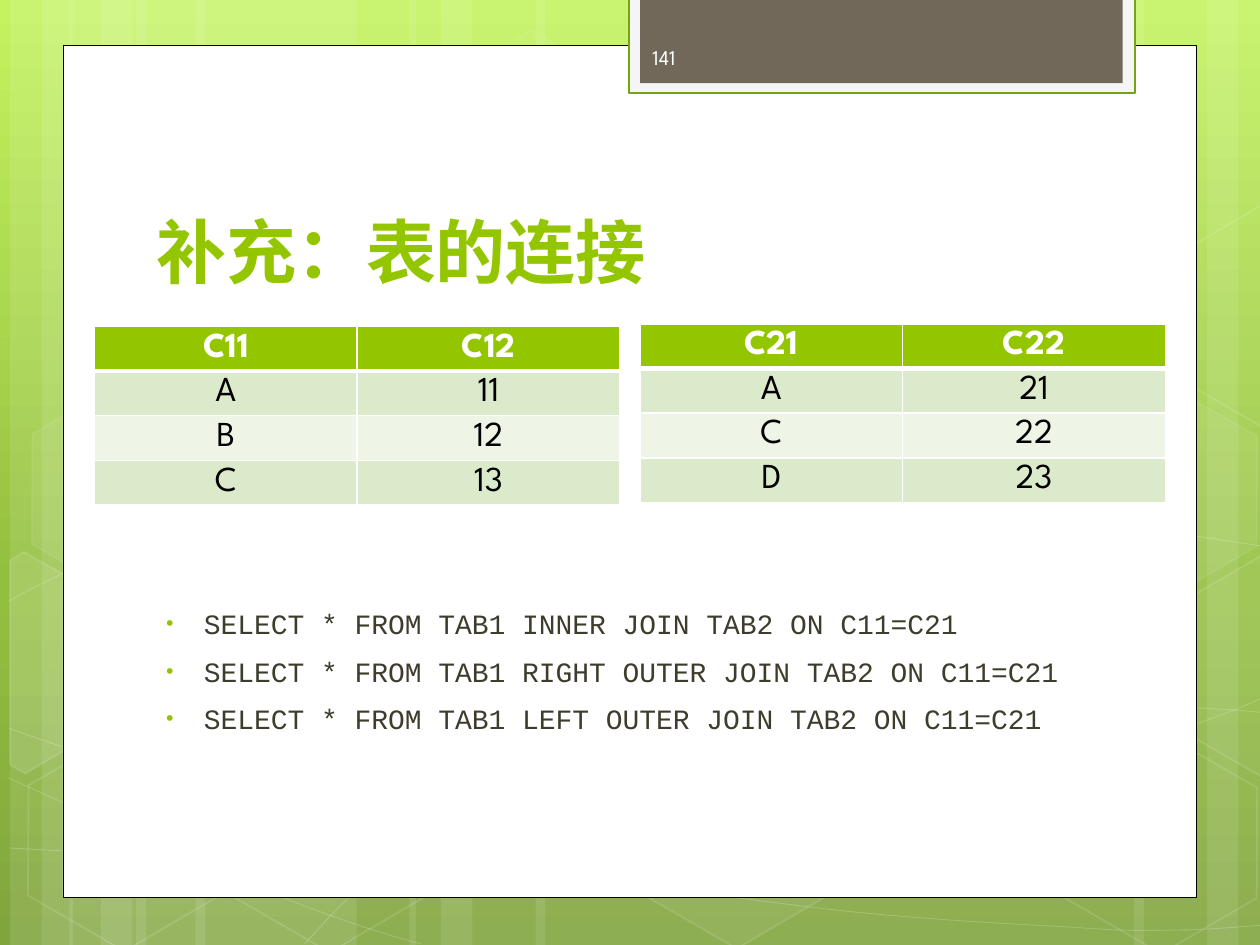
"""Build the slide on joining tables: a green backdrop, two tables and three SQL queries."""
from copy import deepcopy
from lxml.etree import SubElement as Sub
from pptx import Presentation
from pptx.dml.color import RGBColor as RGB
from pptx.enum.shapes import MSO_SHAPE as Shape
from pptx.enum.text import MSO_ANCHOR as Anchor, PP_ALIGN as Align
from pptx.oxml.ns import qn
from pptx.util import Inches, Pt

HUES = {"top": "C3F35F", "mid": "93BF3F", "low": "81A53E", "white": "FFFFFF", "black": "000000",
        "green": "94C600", "edge": "74A510", "tab": "F5F5F5", "brown": "71685A",
        "number": "FEFEFE", "code": "3E3D2D", "odd": "DCEACC", "even": "EEF5E7"}
HUE = {name: RGB.from_string(code) for name, code in HUES.items()}
FONT = "League Spartan"


def paint(shape, fill=None, line=None, width=1, fade=100, haze=100):
    """Set fill and line, with opacity in percent for each."""
    shape.shadow.inherit = False
    for part, hue in ((shape.fill, fill), (shape.line.fill, line)):
        if hue:
            part.solid()
            part.fore_color.rgb = HUE[hue]
        else:
            part.background()
    if line:
        shape.line.width = Pt(width)
    for route, share in (("a:solidFill", fade), ("a:ln/a:solidFill", haze)):
        for tint in shape._element.spPr.xpath(f"./{route}/a:srgbClr"):
            if share < 100:
                Sub(tint, qn("a:alpha"), val=str(share * 1000))


def style(para, size, hue, face=FONT, bold=False):
    """Format every run of a paragraph."""
    for run in para.runs:
        run.font.size, run.font.name, run.font.bold = Pt(size), face, bold
        run.font.color.rgb = HUE[hue]


deck = Presentation()
deck.slide_width, deck.slide_height = Inches(10), Inches(7.5)
slide = deck.slides.add_slide(deck.slide_layouts[5])
shapes = slide.shapes

back = slide.background.fill
back.gradient()
back.gradient_angle = 270
stops = slide._element.xpath(".//a:gsLst")[0]
stops.append(deepcopy(stops[0]))
for stop, (place, hue) in zip(back.gradient_stops, ((0, "top"), (0.62, "mid"), (1, "low"))):
    stop.position = place
    stop.color.rgb = HUE[hue]

bars = [(1.08, 1.75), (0.08, 0.5), (0.33, 0.83), (1.55, 1.75), (0.55, 0.5), (0.8, 0.83),
        (7.33, 1.75), (9.58, 0.5), (9, 0.83), (4.25, 3.08), (3.25, 0.5), (3.5, 0.83)]
for left, width in bars:
    bar = shapes.add_shape(Shape.RECTANGLE, Inches(left), 0, Inches(width), Inches(7.5))
    paint(bar, "white", fade=10)

curves = [
    [(0.07, 6.73), (0.61, 6.76), (1.15, 6.79), (1.9, 6.78), (2.65, 6.77), (3.58, 6.75),
     (4.58, 6.65), (5.58, 6.55), (7, 6.36), (7.92, 6.17), (8.83, 5.98), (9.77, 5.68), (10.07, 5.51)],
    [(0.07, 4.77), (0.36, 4.61), (0.65, 4.46), (1.21, 4.31), (1.78, 4.16), (2.59, 3.94),
     (3.47, 3.87), (4.36, 3.8), (5.44, 3.79), (6.54, 3.87), (7.64, 3.95), (9.47, 4.26), (10.07, 4.34)],
    [(0.06, 6.17), (1.27, 6.72), (2.47, 7.27), (3.34, 7.49)],
    [(0.07, 5.78), (0.38, 5.89), (0.7, 6), (1.28, 6.16), (1.86, 6.31), (2.73, 6.56), (3.57, 6.73),
     (4.4, 6.9), (5.45, 7.08), (6.28, 7.18), (7.11, 7.29), (8, 7.33), (8.53, 7.36),
     (9.05, 7.4), (9.19, 7.38), (9.45, 7.38), (9.71, 7.37), (9.89, 7.35), (10.07, 7.34)],
    [(2.42, 7.49), (2.6, 7.29), (2.78, 7.09), (3.02, 6.91), (3.26, 6.73), (3.6, 6.53),
     (3.88, 6.39), (4.16, 6.25), (4.33, 6.19), (4.7, 6.09), (5.06, 5.99), (5.73, 5.85),
     (6.08, 5.78), (6.44, 5.71), (6.49, 5.71), (6.8, 5.69), (7.11, 5.66), (7.6, 5.63),
     (7.94, 5.62), (8.29, 5.61), (8.86, 5.62), (8.86, 5.62), (9.08, 5.62), (9.31, 5.62),
     (9.53, 5.62), (9.71, 5.63), (9.88, 5.64), (9.97, 5.65), (10.06, 5.66), (10.03, 5.65), (10.06, 5.66)],
]
for knots in curves:
    dots = [(Inches(x), Inches(y)) for x, y in knots]
    pen = shapes.build_freeform(*dots[0])
    pen.add_line_segments(dots[1:], close=False)
    curve = pen.convert_to_shape()
    legs = curve._element.xpath(".//a:lnTo")
    for i in range(0, len(legs), 3):
        bend = Sub(legs[i].getparent(), qn("a:cubicBezTo"))
        for leg in legs[i:i + 3]:
            bend.append(leg[0])
            leg.getparent().remove(leg)
    paint(curve, None, "white", 0.5, haze=20)

cells = [(3.34, 0.36, 4, 8), (4.97, 5.89, 6, 12), (0.11, 5.91, 0, 12), (0.14, 3.12, 7, 8),
         (1.74, 5.92, 0, 12), (7.53, 4.53, 10, 12), (8.34, 5.93, 0, 12), (8.34, 3.14, 7, 8)]
for left, top, fade, haze in cells:
    hexa = shapes.add_shape(Shape.HEXAGON, Inches(left), Inches(top), Inches(1.75), Inches(1.52))
    hexa.adjustments[0], hexa.adjustments[1] = 0.285, 1.155
    hexa.rotation = 30
    paint(hexa, "white" if fade else None, "white", 1, fade, haze)

shards = [
    (10, [(0.08, 4.45), (0.19, 4.38), (0.96, 4.82), (0.95, 5.7), (0.2, 6.14), (0.08, 6.07)]),
    (4, [(9.26, 4.85), (10.01, 4.41), (10.09, 4.46), (10.09, 6.13), (10.02, 6.17), (9.26, 5.73)]),
    (0, [(9.26, 2.07), (10.01, 1.63), (10.1, 1.68), (10.09, 3.35), (10.02, 3.39), (9.26, 2.95)]),
]
for fade, knots in shards:
    dots = [(Inches(x), Inches(y)) for x, y in knots]
    pen = shapes.build_freeform(*dots[0])
    pen.add_line_segments(dots[1:])
    paint(pen.convert_to_shape(), "white" if fade else None, "white", 1, fade, 12)

panels = [((0.5, 0.36, 9, 6.76), "white", "black", 0.5),
          ((4.99, -0.02, 4.02, 0.76), "tab", "edge", 1.25),
          ((5.08, -0.02, 3.83, 0.68), "brown", None, 0)]
for spot, fill, line, width in panels:
    paint(shapes.add_shape(Shape.RECTANGLE, *map(Inches, spot)), fill, line, width)

title = shapes.title
shapes._spTree.append(title._element)
title.left, title.top, title.width, title.height = map(Inches, (1.14, 1.12, 7.68, 1.25))
title.text_frame.text = "补充：表的连接"
title.text_frame.vertical_anchor = Anchor.BOTTOM
title.text_frame.paragraphs[0].alignment = Align.LEFT
style(title.text_frame.paragraphs[0], 40, "green", bold=True)

queries = shapes.add_textbox(*map(Inches, (1.14, 4.7, 7.41, 1.68))).text_frame
queries.word_wrap = True
queries.text = "\n".join(f"SELECT * FROM TAB1 {kind} JOIN TAB2 ON C11=C21"
                         for kind in ("INNER", "RIGHT OUTER", "LEFT OUTER"))
for i, para in enumerate(queries.paragraphs):
    props = para._p.get_or_add_pPr()
    props.set("marL", str(Inches(0.38)))
    props.set("indent", str(Inches(-0.3)))
    Sub(Sub(props, qn("a:buClr")), qn("a:srgbClr"), val=HUES["green"])
    Sub(props, qn("a:buSzPct"), val="76000")
    Sub(props, qn("a:buFont"), typeface="Arial")
    Sub(props, qn("a:buChar"), char="•")
    para.line_spacing = 1.25
    para.space_before = Pt(3.2 if i else 0)
    style(para, 16, "code", "Courier New")

number = shapes.add_textbox(*map(Inches, (5.08, 0.25, 1.46, 0.4))).text_frame
number.word_wrap = True
number.vertical_anchor = Anchor.MIDDLE
number.text = "141"
style(number.paragraphs[0], 12, "number")

tables = [(0.75, 2.59, [("C11", "C12"), ("A", "11"), ("B", "12"), ("C", "13")]),
          (5.08, 2.57, [("C21", "C22"), ("A", "21"), ("C", "22"), ("D", "23")])]
for left, top, rows in tables:
    spot = map(Inches, (left, top, 4.17, 1.42))
    grid = shapes.add_table(len(rows), 2, *spot).table
    for r, row in enumerate(rows):
        for c, word in enumerate(row):
            cell = grid.cell(r, c)
            cell.text_frame.text = word
            cell.vertical_anchor = Anchor.MIDDLE
            cell.margin_top = cell.margin_bottom = Inches(0.01)
            para = cell.text_frame.paragraphs[0]
            para.alignment = Align.CENTER
            style(para, 20, "black" if r else "white", bold=not r)
            props = cell._tc.get_or_add_tcPr()
            for side in "LRTB":
                thick = (r, side) in ((0, "B"), (1, "T"))
                rule = Sub(props, qn(f"a:ln{side}"), w=str(Pt(3 if thick else 1)))
                Sub(Sub(rule, qn("a:solidFill")), qn("a:srgbClr"), val=HUES["white"])
            cell.fill.solid()
            cell.fill.fore_color.rgb = HUE["green" if not r else "odd" if r % 2 else "even"]

deck.save("out.pptx")
